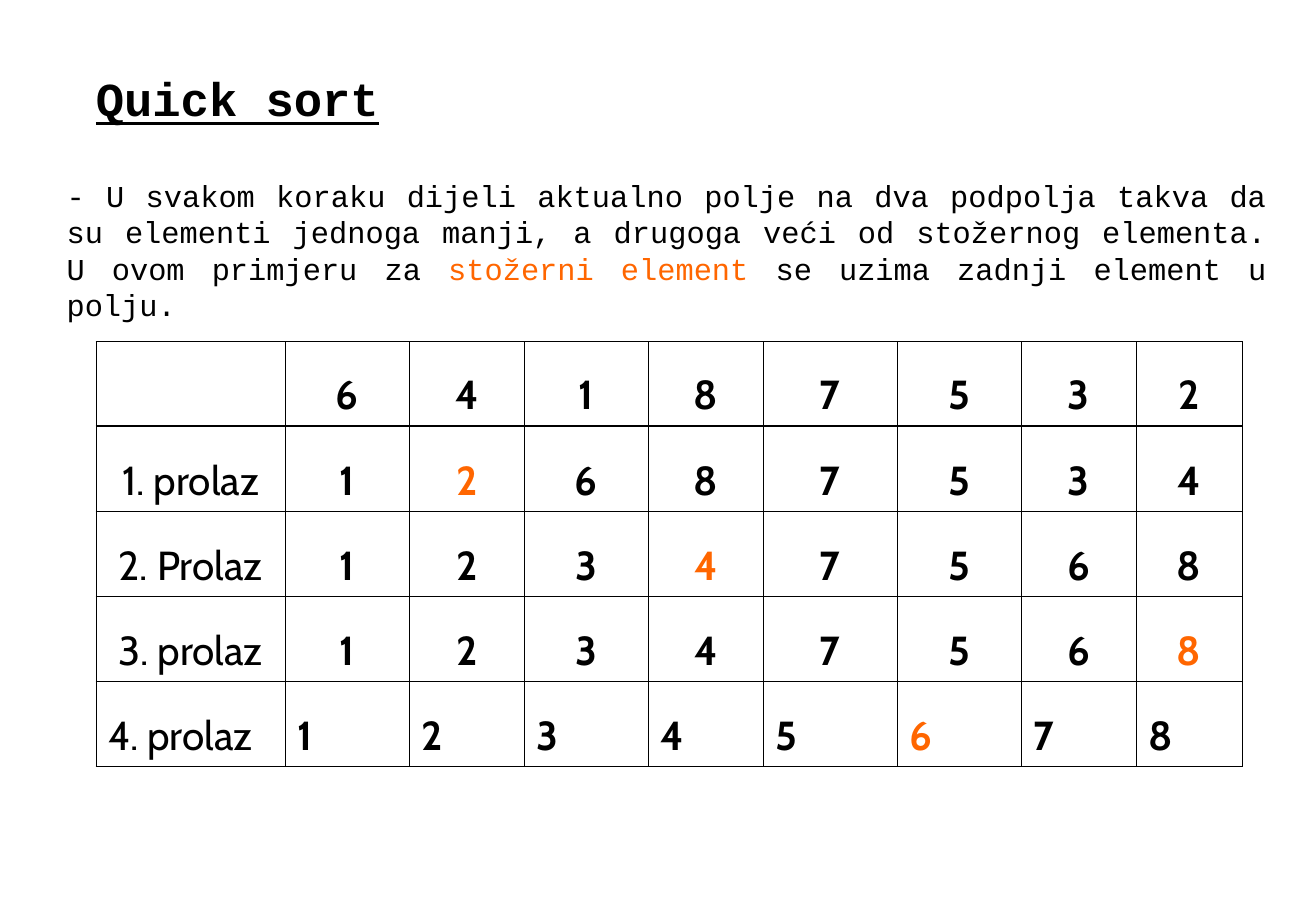
from lxml import etree
from pptx import Presentation
from pptx.dml.color import RGBColor
from pptx.enum import text
from pptx.oxml import ns
from pptx.util import Inches, Pt

BLACK, ORANGE = "000000", "FF6600"
BODY_FONT, TABLE_FONT = "Courier New", "Cabin"
THIN, THICK = 0.34, 1.47

TITLE = "Quick sort"
INTRO = [
    ("- U svakom koraku dijeli aktualno polje na dva podpolja takva da su "
     "elementi jednoga manji, a drugoga veći od stožernog elementa. "
     "U ovom primjeru za ", BLACK),
    ("stožerni element", ORANGE),
    (" se uzima zadnji element u polju.", BLACK),
]
# Row label, array values, column of the pivot
PASSES = [
    ("", "64187532", None),
    ("1. prolaz", "12687534", 2),
    ("2. Prolaz", "12347568", 4),
    ("3. prolaz", "12347568", 8),
    ("4. prolaz", "12345678", 6),
]
COLUMN_WIDTHS = [1.56, 1.02, 0.95, 1.02, 0.95, 1.1, 1.02, 0.95, 0.87]
ROW_HEIGHT = 0.7


def style(span, font, size, color, bold=False):
    span.font.name, span.font.size, span.font.bold = font, Pt(size), bold
    span.font.color.rgb = RGBColor.from_string(color)


def place(box, left, top, width, height):
    box.left, box.top = Inches(left), Inches(top)
    box.width, box.height = Inches(width), Inches(height)
    frame = box.text_frame
    frame.word_wrap = True
    frame.auto_size = text.MSO_AUTO_SIZE.NONE
    frame.vertical_anchor = text.MSO_ANCHOR.TOP
    frame.margin_left = frame.margin_right = Inches(0.1)
    frame.margin_top = frame.margin_bottom = Inches(0.05)
    return frame


def set_borders(cell, widths):
    properties = cell._tc.get_or_add_tcPr()
    for index, (side, width) in enumerate(zip("LRTB", widths)):
        line = etree.Element(ns.qn(f"a:ln{side}"), w=str(Pt(width)))
        fill = etree.SubElement(line, ns.qn("a:solidFill"))
        etree.SubElement(fill, ns.qn("a:srgbClr"), val=BLACK)
        properties.insert(index, line)


deck = Presentation()
deck.slide_width, deck.slide_height = Inches(10.84), Inches(7.5)
page = deck.slides.add_slide(deck.slide_layouts[5])

# Title, with a little spare width so that it stays on one line
frame = place(page.shapes.title, 0.69, 0.52, 2.7, 0.57)
frame.text = TITLE
para = frame.paragraphs[0]
para.alignment = text.PP_ALIGN.LEFT
style(para.runs[0], BODY_FONT, 28, BLACK, bold=True)
para.runs[0].font.underline = True

# Pass table
table = page.shapes.add_table(
    len(PASSES), len(COLUMN_WIDTHS), Inches(0.79), Inches(2.81),
    Inches(sum(COLUMN_WIDTHS)), Inches(ROW_HEIGHT * len(PASSES))).table
table.first_row = table.horz_banding = False
for column, width in zip(table.columns, COLUMN_WIDTHS):
    column.width = Inches(width)

for r, (label, values, pivot) in enumerate(PASSES):
    table.rows[r].height = Inches(ROW_HEIGHT)
    last = r == len(PASSES) - 1
    for c, value in enumerate([label, *values]):
        cell = table.cell(r, c)
        cell.fill.background()
        set_borders(cell, (THIN, THIN, THICK if r == 1 else THIN,
                           THICK if r == 0 else THIN))
        cell.vertical_anchor = text.MSO_ANCHOR.MIDDLE
        cell.margin_top = Inches(0.04)
        if not value:
            continue
        cell.text_frame.text = value
        para = cell.text_frame.paragraphs[0]
        para.alignment = text.PP_ALIGN.LEFT if last else text.PP_ALIGN.CENTER
        para.line_spacing = 1.5
        style(para.runs[0], TABLE_FONT, 24,
              ORANGE if c == pivot else BLACK, bold=c > 0)

# Introduction
intro = page.shapes.add_textbox(0, 0, 0, 0)
frame = place(intro, 0.45, 1.41, 10.08, 1.3)
para = frame.paragraphs[0]
para.alignment = text.PP_ALIGN.JUSTIFY
for words, color in INTRO:
    span = para.add_run()
    span.text = words
    style(span, BODY_FONT, 18, color)

deck.save("out.pptx")
